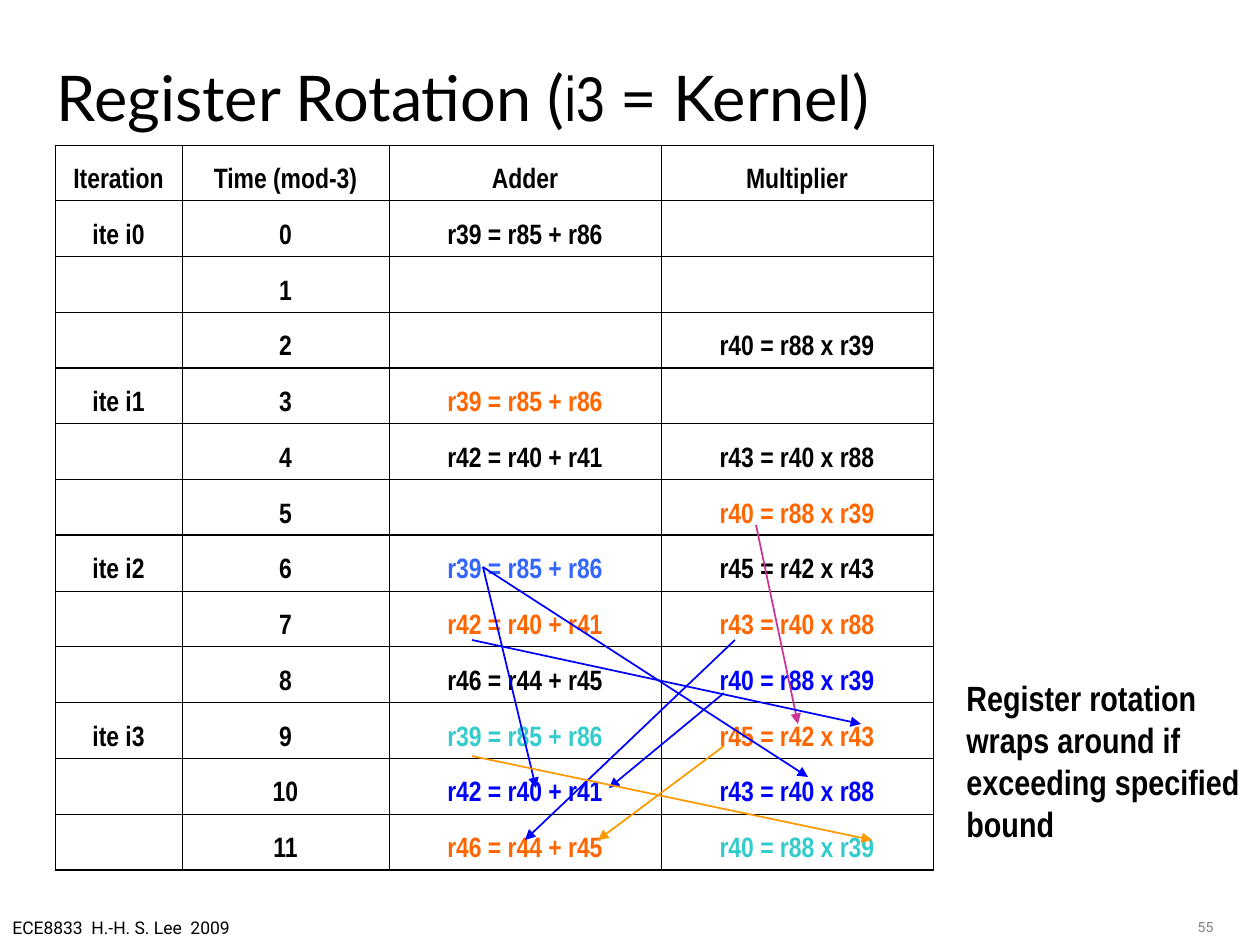
from typing import NamedTuple

import pptx
import pptx.chart.data
import pptx.dml.color
import pptx.enum.shapes
import pptx.enum.text
import pptx.oxml
import pptx.oxml.ns
import pptx.util

SCALE = 914400 / 126
NARROW = "Arial Narrow"
BLACK, ORANGE, BLUE = "000000", "FF6600", "0000FF"
SKY, TEAL, PINK, AMBER = "3366FF", "33CCCC", "CC3399", "FF9900"
ALIGN = pptx.enum.text.PP_ALIGN
ANCHOR = pptx.enum.text.MSO_ANCHOR
FIT = pptx.enum.text.MSO_AUTO_SIZE


class Op(NamedTuple):
    text: str = ""
    color: str = BLACK


class Arrow(NamedTuple):
    x1: int
    y1: int
    x2: int
    y2: int
    color: str = BLUE


class Label(NamedTuple):
    x: int
    y: int
    w: int
    h: int
    lines: list[str]
    font: str
    size: int
    color: str = BLACK
    bold: bool = False
    align: ALIGN = ALIGN.LEFT
    wrap: bool = True
    fit: FIT = FIT.NONE


SUM = "r39 = r85 + r86"
NEXT = "r42 = r40 + r41"
LAST = "r46 = r44 + r45"
LOAD = "r40 = r88 x r39"
SCALED = "r43 = r40 x r88"
FINAL = "r45 = r42 x r43"

HEADS = ["Iteration", "Time (mod-3)", "Adder", "Multiplier"]
COLS = [127, 207, 272, 272]
STEPS = [
    (Op(SUM), Op()),
    (Op(), Op()),
    (Op(), Op(LOAD)),
    (Op(SUM, ORANGE), Op()),
    (Op(NEXT), Op(SCALED)),
    (Op(), Op(LOAD, ORANGE)),
    (Op(SUM, SKY), Op(FINAL)),
    (Op(NEXT, ORANGE), Op(SCALED, ORANGE)),
    (Op(LAST), Op(LOAD, BLUE)),
    (Op(SUM, TEAL), Op(FINAL, ORANGE)),
    (Op(NEXT, BLUE), Op(SCALED, BLUE)),
    (Op(LAST, ORANGE), Op(LOAD, TEAL)),
]
ARROWS = [
    Arrow(756, 525, 798, 724, PINK),
    Arrow(472, 640, 861, 724),
    Arrow(735, 640, 525, 840),
    Arrow(724, 746, 598, 840, AMBER),
    Arrow(483, 567, 536, 788),
    Arrow(724, 693, 609, 788),
    Arrow(483, 567, 808, 777),
    Arrow(472, 756, 872, 840, AMBER),
]
LABELS = [
    Label(-2, 911, 246, 34, ["ECE8833  H.-H. S. Lee  2009"], "Roboto", 10,
          align=ALIGN.CENTER, wrap=False, fit=FIT.SHAPE_TO_FIT_TEXT),
    Label(954, 670, 306, 181,
          ["Register rotation", "wraps around if exceeding specified bound"],
          NARROW, 20, bold=True, fit=FIT.SHAPE_TO_FIT_TEXT),
    Label(1143, 912, 83, 21, ["55"], "Roboto", 8, "808080", align=ALIGN.RIGHT),
]


def px(n: float) -> int:
    return round(n * SCALE)


def rgb(code: str) -> pptx.dml.color.RGBColor:
    return pptx.dml.color.RGBColor.from_string(code)


def style(font, name: str, size: int, color: str, bold: bool = False) -> None:
    font.name = name
    font.size = pptx.util.Pt(size)
    font.bold = bold
    font.color.rgb = rgb(color)


def add_title(slide) -> None:
    title = slide.shapes.title
    title.left, title.top, title.width, title.height = map(px, (44, 44, 1134, 105))
    frame = title.text_frame
    frame.auto_size = FIT.NONE
    frame.vertical_anchor = ANCHOR.MIDDLE
    para = frame.paragraphs[0]
    para.alignment = ALIGN.LEFT
    parts = [("Register Rotation (", "Lato"), ("i3", NARROW), (" = Kernel)", "Lato")]
    for text, name in parts:
        run = para.add_run()
        run.text = text
        style(run.font, name, 36, BLACK)


def add_edge(cell, side: str, width: float) -> None:
    space = pptx.oxml.ns.nsdecls("a")
    cell._tc.get_or_add_tcPr().append(pptx.oxml.parse_xml(
        f'<a:ln{side} {space} w="{pptx.util.Pt(width)}"><a:solidFill>'
        f'<a:srgbClr val="{BLACK}"/></a:solidFill></a:ln{side}>'))


def fill_cell(cell, op: Op, row: int) -> None:
    top = 1.08 if row > 1 and row % 3 == 1 else 0.45
    base = 1.08 if row and row % 3 == 0 else 0.45
    for side, width in zip("LRTB", (0.45, 0.45, top, base)):
        add_edge(cell, side, width)
    cell.fill.background()
    cell.vertical_anchor = ANCHOR.BOTTOM
    cell.text = op.text
    para = cell.text_frame.paragraphs[0]
    para.alignment = ALIGN.CENTER
    style(para.font, NARROW, 16, op.color, True)


def add_grid(slide) -> None:
    rows = [[Op(head) for head in HEADS]]
    for time, ops in enumerate(STEPS):
        name = f"ite i{time // 3}" if time % 3 == 0 else ""
        rows.append([Op(name), Op(str(time)), *ops])
    table = slide.shapes.add_table(
        len(rows), len(COLS), px(55), px(145), px(sum(COLS)), px(725)).table
    table.first_row = table.horz_banding = False
    for col, width in zip(table.columns, COLS):
        col.width = px(width)
    for row, ops in enumerate(rows):
        table.rows[row].height = px(725 / len(rows))
        for col, op in enumerate(ops):
            fill_cell(table.cell(row, col), op, row)


def add_label(slide, label: Label) -> None:
    box = slide.shapes.add_textbox(*map(px, label[:4]))
    frame = box.text_frame
    frame.text = "\n".join(label.lines)
    frame.word_wrap = label.wrap
    frame.auto_size = label.fit
    for para in frame.paragraphs:
        para.alignment = label.align
        style(para.font, label.font, label.size, label.color, label.bold)


def add_arrow(slide, arrow: Arrow) -> None:
    line = slide.shapes.add_connector(
        pptx.enum.shapes.MSO_CONNECTOR.STRAIGHT, *map(px, arrow[:4]))
    line.line.color.rgb = rgb(arrow.color)
    line.line.width = pptx.util.Pt(1)
    space = pptx.oxml.ns.nsdecls("a")
    line.line._get_or_add_ln().append(
        pptx.oxml.parse_xml(f'<a:tailEnd {space} type="triangle"/>'))
    line._element.spPr.append(pptx.oxml.parse_xml(f"<a:effectLst {space}/>"))


def main() -> None:
    deck = pptx.Presentation()
    deck.slide_width, deck.slide_height = px(1260), px(945)
    slide = deck.slides.add_slide(deck.slide_layouts[5])
    add_title(slide)
    add_grid(slide)
    for label in LABELS:
        add_label(slide, label)
    for arrow in ARROWS:
        add_arrow(slide, arrow)
    deck.save("out.pptx")


if __name__ == "__main__":
    main()
